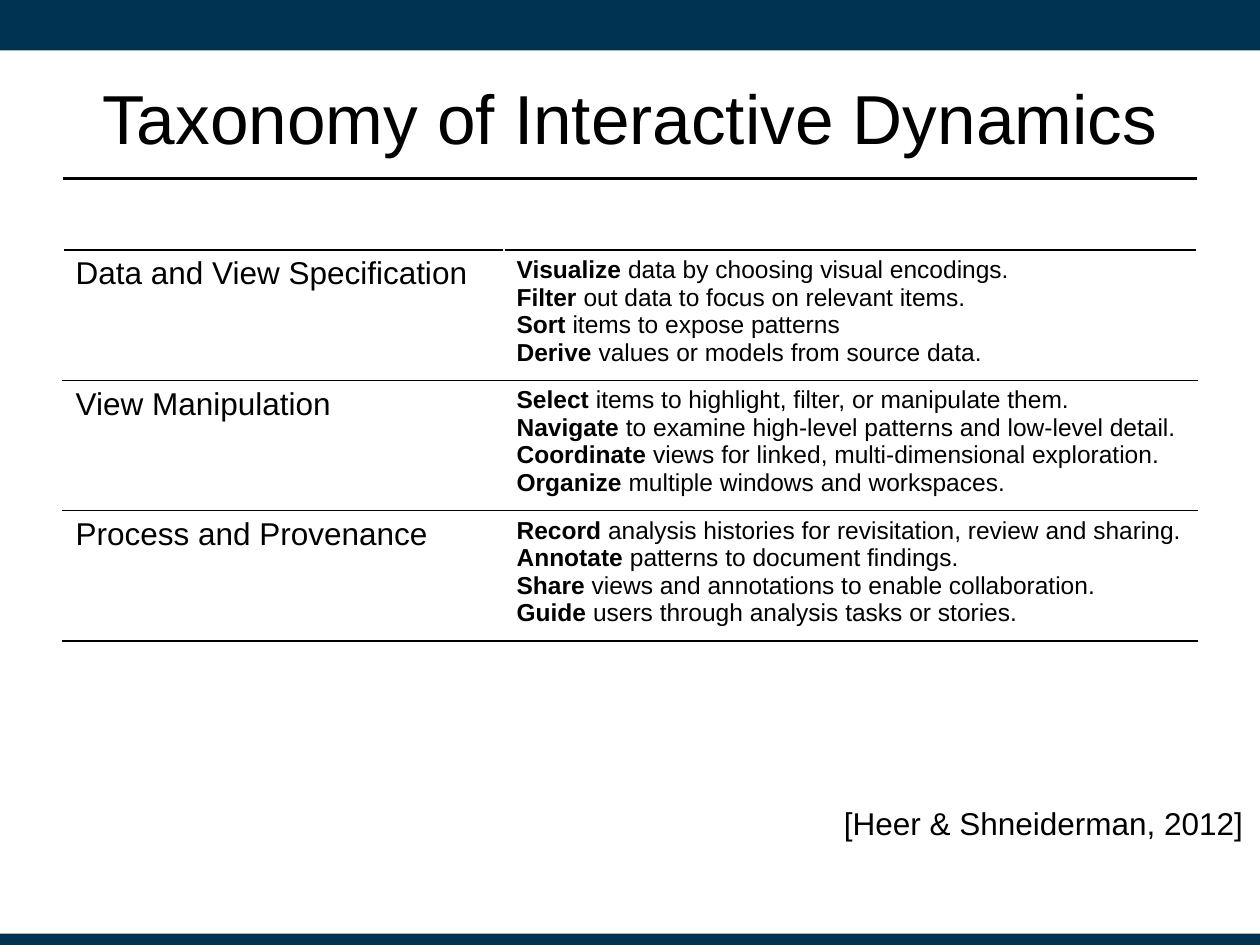
"""Build the slide on the taxonomy of interactive dynamics."""
from dataclasses import dataclass

import pptx
import pptx.dml.color
import pptx.enum.shapes
import pptx.enum.text
import pptx.oxml
import pptx.oxml.ns
import pptx.util

Pt = pptx.util.Pt
RGB = pptx.dml.color.RGBColor.from_string
Anchor = pptx.enum.text.MSO_ANCHOR


@dataclass(frozen=True)
class Theme:
    """Colours, font and type sizes."""
    navy: str = "003252"
    ink: str = "000000"
    paper: str = "FFFFFF"
    font: str = "Arial"
    title: float = 39.6
    body: float = 18
    detail: float = 14


@dataclass(frozen=True)
class Category:
    """A category with its (verb, description) tasks."""
    name: str
    tasks: tuple[tuple[str, str], ...]


THEME = Theme()
WIDTH, HEIGHT, MARGIN = 720, 540, 36
COLUMNS = (252, 396)
ROW_HEIGHT = 74.5
TABLE_TOP = 142.8
BARS = ((0, 28.8), (533.5, 6.5))
CATEGORIES = (
    Category("Data and View Specification", (
        ("Visualize", "data by choosing visual encodings."),
        ("Filter", "out data to focus on relevant items."),
        ("Sort", "items to expose patterns"),
        ("Derive", "values or models from source data."),
    )),
    Category("View Manipulation", (
        ("Select", "items to highlight, filter, or manipulate them."),
        ("Navigate", "to examine high-level patterns and low-level detail."),
        ("Coordinate", "views for linked, multi-dimensional exploration."),
        ("Organize", "multiple windows and workspaces."),
    )),
    Category("Process and Provenance", (
        ("Record", "analysis histories for revisitation, review and sharing."),
        ("Annotate", "patterns to document findings."),
        ("Share", "views and annotations to enable collaboration."),
        ("Guide", "users through analysis tasks or stories."),
    )),
)


def add_run(p, text: str, size: float, bold: bool = False) -> None:
    """Add one formatted run to a paragraph."""
    r = p.add_run()
    r.text = text
    r.font.name = THEME.font
    r.font.size = Pt(size)
    r.font.bold = bold
    r.font.color.rgb = RGB(THEME.ink)


def add_bar(s, top: float, height: float) -> None:
    """Draw a full-width navy bar."""
    sp = s.shapes.add_shape(pptx.enum.shapes.MSO_SHAPE.RECTANGLE,
                            0, Pt(top), Pt(WIDTH), Pt(height))
    sp.shadow.inherit = False
    sp.fill.solid()
    sp.fill.fore_color.rgb = RGB(THEME.navy)
    sp.line.fill.background()


def add_rule(s, y: float) -> None:
    """Draw the rule below the title."""
    sp = s.shapes.add_connector(pptx.enum.shapes.MSO_CONNECTOR.STRAIGHT,
                                Pt(MARGIN), Pt(y), Pt(WIDTH - MARGIN), Pt(y))
    sp.line.color.rgb = RGB(THEME.ink)
    sp.line.width = Pt(1.25)
    sp._element.spPr.append(pptx.oxml.parse_xml(
        f"<a:effectLst {pptx.oxml.ns.nsdecls('a')}/>"))


def add_title(s, text: str) -> None:
    """Place and fill the title placeholder."""
    sp = s.shapes.title
    sp.left, sp.top, sp.width, sp.height = Pt(MARGIN), Pt(21.6), Pt(648), Pt(90)
    tf = sp.text_frame
    tf.vertical_anchor = Anchor.MIDDLE
    p = tf.paragraphs[0]
    p.alignment = pptx.enum.text.PP_ALIGN.CENTER
    add_run(p, text, THEME.title)


def add_citation(s, text: str) -> None:
    """Add the citation at the lower right."""
    sp = s.shapes.add_textbox(Pt(475.2), Pt(455.8), Pt(244.8), Pt(29))
    tf = sp.text_frame
    tf.word_wrap = False
    tf.auto_size = pptx.enum.text.MSO_AUTO_SIZE.SHAPE_TO_FIT_TEXT
    add_run(tf.paragraphs[0], text, THEME.body)


def style_cell(cell) -> None:
    """Give a cell a white fill, white sides and black rules."""
    cell.vertical_anchor = Anchor.TOP
    borders = (("lnL", THEME.paper), ("lnR", THEME.paper),
               ("lnT", THEME.ink), ("lnB", THEME.ink))
    for tag, color in borders:
        cell._tc.get_or_add_tcPr().append(pptx.oxml.parse_xml(
            f'<a:{tag} {pptx.oxml.ns.nsdecls("a")} w="{Pt(1)}"><a:solidFill>'
            f'<a:srgbClr val="{color}"/></a:solidFill></a:{tag}>'))
    cell.fill.solid()
    cell.fill.fore_color.rgb = RGB(THEME.paper)


def add_taxonomy(s, categories: tuple[Category, ...]) -> None:
    """Add the table with one row per category."""
    table = s.shapes.add_table(
        len(categories), len(COLUMNS), Pt(MARGIN), Pt(TABLE_TOP),
        Pt(sum(COLUMNS)), Pt(ROW_HEIGHT * len(categories))).table
    table.first_row = table.horz_banding = False
    for column, width in zip(table.columns, COLUMNS):
        column.width = Pt(width)
    for row, category in zip(table.rows, categories):
        row.height = Pt(ROW_HEIGHT)
        name, detail = row.cells
        style_cell(name)
        style_cell(detail)
        add_run(name.text_frame.paragraphs[0], category.name, THEME.body)
        tf = detail.text_frame
        for i, (verb, description) in enumerate(category.tasks):
            p = tf.add_paragraph() if i else tf.paragraphs[0]
            add_run(p, f"{verb} ", THEME.detail, bold=True)
            add_run(p, description, THEME.detail)


def main() -> None:
    """Build and save the presentation."""
    prs = pptx.Presentation()
    prs.slide_width, prs.slide_height = Pt(WIDTH), Pt(HEIGHT)
    s = prs.slides.add_slide(prs.slide_layouts.get_by_name("Title Only"))
    for top, height in BARS:
        add_bar(s, top, height)
    add_rule(s, 102)
    add_title(s, "Taxonomy of Interactive Dynamics")
    add_citation(s, "[Heer & Shneiderman, 2012]")
    add_taxonomy(s, CATEGORIES)
    prs.save("out.pptx")


if __name__ == "__main__":
    main()
